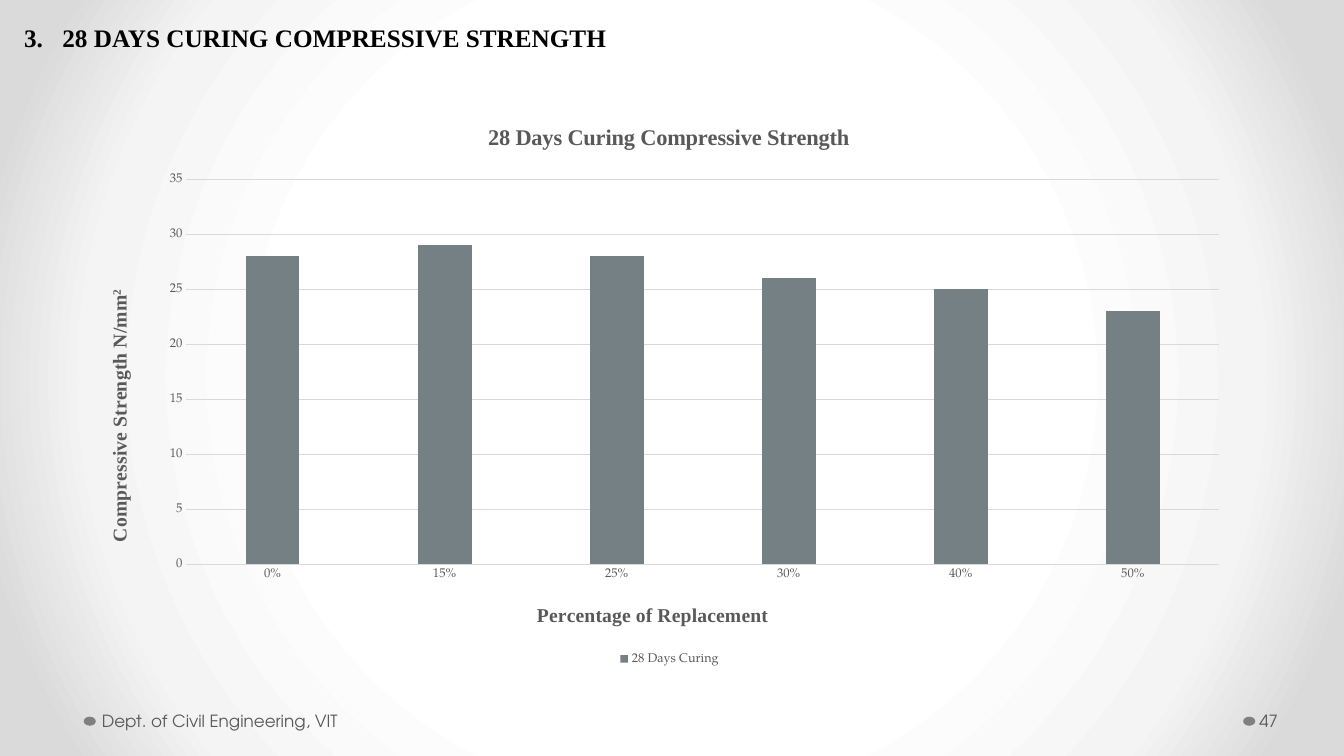
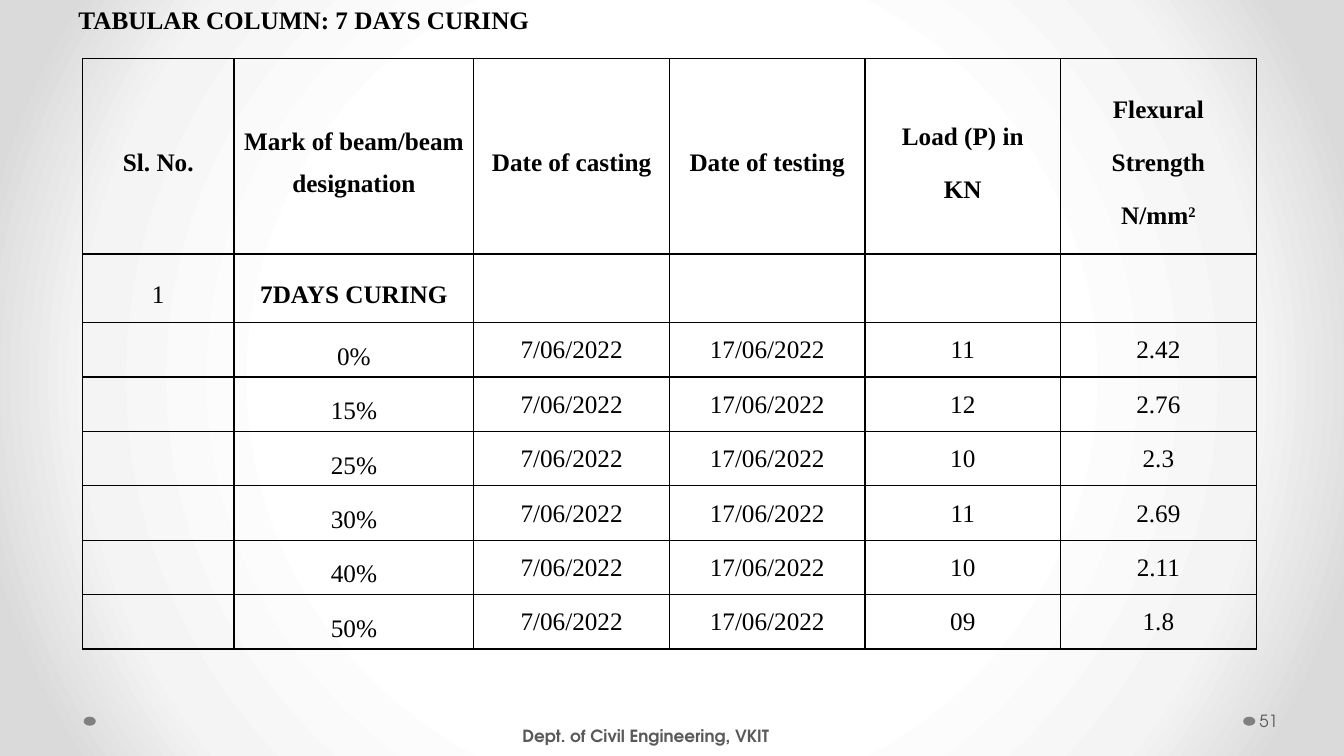
"""Build two slides on concrete strength: a column chart and a results table."""
import pptx
import pptx.chart.data
import pptx.dml.color
import pptx.enum.chart
import pptx.enum.shapes
import pptx.enum.text
import pptx.oxml
import pptx.oxml.ns
import pptx.util
from pptx.util import Inches, Pt

COLORS = {"text": "000000", "muted": "595959", "dot": "808080", "grid": "D9D9D9", "bar": "758085"}
BACKDROP = [(50, "FFFFFF"), (76, "F4F4F4"), (92, "DADADA")]
SERIF, SANS, CHART_FONT = "Times New Roman", "TeX Gyre Adventor", "TeX Gyre Pagella"
FOOTER_INSETS = (0.05, 0.05, 0.1, 0.05)
NUMBER_INSETS = (0.03, 0.05, 0.05, 0.05)
DOT_LEFTS = (12.33, 0.83)

CHART_HEADING = "3.\t28 DAYS CURING COMPRESSIVE STRENGTH"
CHART_TITLE = "28 Days Curing Compressive Strength"
CATEGORY_TITLE = "Percentage of Replacement"
VALUE_TITLE = "Compressive Strength N/mm^2"
SERIES_NAME = "28 Days Curing"
STRENGTHS = {0: 28, 0.15: 29, 0.25: 28, 0.3: 26, 0.4: 25, 0.5: 23}
CHART_WIDTH, CHART_HEIGHT = 11.36, 5.58

TABLE_HEADING = "TABULAR COLUMN: 7 DAYS CURING"
HEADERS = ["Sl. No.", "Mark of beam/beam designation", "Date of casting", "Date of testing",
           "Load (P) in\nKN", "Flexural\nStrength\nN/mm^2"]
GROUP = ["1", "7DAYS CURING", "", "", "", ""]
CAST, TESTED = "7/06/2022", "17/06/2022"
BEAMS = [("0%", "11", "2.42"), ("15%", "12", "2.76"), ("25%", "10", "2.3"),
         ("30%", "11", "2.69"), ("40%", "10", "2.11"), ("50%", "09", "1.8")]
COLUMN_WIDTHS = [1.5, 2.38] + [1.94] * 4
ROW_HEIGHTS = [1.94, 0.68] + [0.54] * len(BEAMS)


def rgb(name):
    return pptx.dml.color.RGBColor.from_string(COLORS[name])


def xml(tag, attributes="", inner=""):
    spaces = pptx.oxml.ns.nsdecls("a", "c")
    return pptx.oxml.parse_xml(f"<{tag} {spaces} {attributes}>{inner}</{tag}>")


def style(font, size, face, color, bold=False):
    font.size, font.name, font.bold = Pt(size), face, bold
    font.color.rgb = rgb(color)


def write(para, text, *look):
    """Fill a paragraph; the part after a caret is raised."""
    for index, part in enumerate(text.split("^")):
        span = para.add_run()
        span.text = part
        style(span.font, *look)
        if index:
            span._r.get_or_add_rPr().set("baseline", "30000")


def add_text(page, place, text, look, insets=(0.1, 0.05, 0.1, 0.05), middle=False):
    box = page.shapes.add_textbox(*map(Inches, place))
    frame = box.text_frame
    frame.word_wrap = True
    frame.margin_left, frame.margin_top, frame.margin_right, frame.margin_bottom = map(Inches, insets)
    if middle:
        frame.vertical_anchor = pptx.enum.text.MSO_ANCHOR.MIDDLE
    write(frame.paragraphs[0], text, *look)
    return frame


def add_heading(page, left, top, text):
    frame = add_text(page, (left, top, 6.68, 0.4), text, (18, SERIF, "text", True))
    frame.auto_size = pptx.enum.text.MSO_AUTO_SIZE.SHAPE_TO_FIT_TEXT
    return frame.paragraphs[0]


def paint_backdrop(deck):
    master = deck.slide_master
    master.background.fill.solid()
    stops = "".join(f'<a:gs pos="{position * 1000}"><a:srgbClr val="{color}"/></a:gs>'
                    for position, color in BACKDROP)
    circle = '<a:path path="circle"><a:fillToRect l="50000" t="50000" r="50000" b="50000"/></a:path>'
    solid = master.element.xpath("p:cSld/p:bg/p:bgPr/a:solidFill")[0]
    solid.getparent().replace(solid, xml("a:gradFill", 'rotWithShape="1"',
                                         f"<a:gsLst>{stops}</a:gsLst>{circle}"))


def add_page(deck, footer, footer_left, footer_top, number, bold=False):
    page = deck.slides.add_slide(deck.slide_layouts[6])
    for left in DOT_LEFTS:
        dot = page.shapes.add_shape(pptx.enum.shapes.MSO_SHAPE.OVAL,
                                    *map(Inches, (left, 7.11, 0.12, 0.09)))
        dot.shadow.inherit = False
        dot.fill.solid()
        dot.fill.fore_color.rgb = rgb("dot")
        dot.line.fill.background()
    add_text(page, (footer_left, footer_top, 4.15, 0.4), footer,
             (12, SANS, "muted", bold), FOOTER_INSETS, True)
    add_text(page, (12.46, 6.95, 0.82, 0.4), number, (12, SANS, "muted"), NUMBER_INSETS, True)
    return page


def set_layout(parent, index, target="", **inches):
    """Place a chart part by inches from the chart's top left corner."""
    for old in parent.xpath("c:layout"):
        parent.remove(old)
    modes = "".join(f'<c:{axis}Mode val="edge"/>' for axis in "xy")
    sizes = "".join(f'<c:{key} val="{value / (CHART_WIDTH if key in "xw" else CHART_HEIGHT)}"/>'
                    for key, value in inches.items())
    parent.insert(index, xml("c:layout", "", f"<c:manualLayout>{target}{modes}{sizes}</c:manualLayout>"))


def add_title(title, text, size, x, y):
    write(title.text_frame.paragraphs[0], text, size, SERIF, "muted", True)
    set_layout(title._element, 1, x=x, y=y)


def add_strength_chart(page):
    data = pptx.chart.data.CategoryChartData(number_format="0")
    data.categories = list(STRENGTHS)
    data.categories.number_format = "0%"
    data.add_series(SERIES_NAME, list(STRENGTHS.values()))
    kinds = pptx.enum.chart
    place = (0.96, 1.06, CHART_WIDTH, CHART_HEIGHT)
    chart = page.shapes.add_chart(kinds.XL_CHART_TYPE.COLUMN_CLUSTERED,
                                  *map(Inches, place), data).chart
    style(chart.font, 10, CHART_FONT, "text")

    plot = chart.plots[0]
    plot.gap_width, plot.overlap, plot.vary_by_categories = 219, -27, False
    fill = plot.series[0].format.fill
    fill.solid()
    fill.fore_color.rgb = rgb("bar")

    category, value = chart.category_axis, chart.value_axis
    for axis in (category, value):
        axis.major_tick_mark = axis.minor_tick_mark = kinds.XL_TICK_MARK.NONE
        style(axis.tick_labels.font, 9, CHART_FONT, "muted")
    category.tick_labels.number_format = "0%"
    category.tick_labels.number_format_is_linked = False
    value.minimum_scale, value.maximum_scale, value.major_unit = 0, 35, 5
    value.format.line.fill.background()
    for line in (category.format.line, value.major_gridlines.format.line):
        line.color.rgb = rgb("grid")
        line.width = Pt(0.75)

    chart.has_legend = True
    chart.legend.position = kinds.XL_LEGEND_POSITION.BOTTOM
    chart.legend.include_in_layout = False
    style(chart.legend.font, 9, CHART_FONT, "muted")

    add_title(chart.chart_title, CHART_TITLE, 16, 3.84, 0.12)
    add_title(category.axis_title, CATEGORY_TITLE, 14, 4.33, 4.88)
    add_title(value.axis_title, VALUE_TITLE, 14, 0.07, 1.78)
    body = value.axis_title._element.xpath(".//a:bodyPr")[0]
    body.set("rot", "-5400000")
    body.set("vert", "horz")
    set_layout(chart._chartSpace.xpath("c:chart/c:plotArea")[0], 0,
               '<c:layoutTarget val="inner"/>', x=0.89, y=0.72, w=10.24, h=3.82)


def fill_cell(cell, text, bold, middle):
    cell.margin_left = cell.margin_right = Inches(0.07)
    cell.margin_top = cell.margin_bottom = 0
    if middle:
        cell.vertical_anchor = pptx.enum.text.MSO_ANCHOR.MIDDLE
    properties = cell._tc.get_or_add_tcPr()
    for side in "LRTB":
        properties.append(xml(f"a:ln{side}", 'w="12700"',
                              f'<a:solidFill><a:srgbClr val="{COLORS["text"]}"/></a:solidFill>'))
    cell.fill.background()
    if not text:
        return
    frame = cell.text_frame
    for index, line in enumerate(text.split("\n")):
        para = frame.add_paragraph() if index else frame.paragraphs[0]
        para.alignment = pptx.enum.text.PP_ALIGN.CENTER
        para.line_spacing, para.space_after = 1.5, Pt(8)
        write(para, line, 18, SERIF, "text", bold)


def add_results_table(page):
    rows = [HEADERS, GROUP] + [["", mark, CAST, TESTED, load, strength]
                               for mark, load, strength in BEAMS]
    place = (0.82, 0.58, sum(COLUMN_WIDTHS), sum(ROW_HEIGHTS))
    table = page.shapes.add_table(len(rows), len(HEADERS), *map(Inches, place)).table
    table.first_row = table.horz_banding = False
    for column, width in zip(table.columns, COLUMN_WIDTHS):
        column.width = Inches(width)
    for row, height in zip(table.rows, ROW_HEIGHTS):
        row.height = Inches(height)
    for r, texts in enumerate(rows):
        for c, text in enumerate(texts):
            fill_cell(table.cell(r, c), text, r == 0 or text == GROUP[1], r < 2 or c == 1)


def main():
    deck = pptx.Presentation()
    deck.slide_width, deck.slide_height = Inches(13.33), Inches(7.5)
    paint_backdrop(deck)

    page = add_page(deck, "Dept. of Civil Engineering, VIT", 0.96, 6.95, "47")
    heading = add_heading(page, 0.14, 0.15, CHART_HEADING)
    heading.line_spacing, heading.space_after = 1.07, Pt(8)
    heading._p.get_or_add_pPr().append(
        xml("a:tabLst", "", f'<a:tab pos="{Inches(0.38)}" algn="l"/>'))
    add_strength_chart(page)

    page = add_page(deck, "Dept. of Civil Engineering, VKIT", 5.13, 7.1, "51", bold=True)
    add_results_table(page)
    add_heading(page, 0.68, -0.01, TABLE_HEADING)
    deck.save("out.pptx")


if __name__ == "__main__":
    main()
